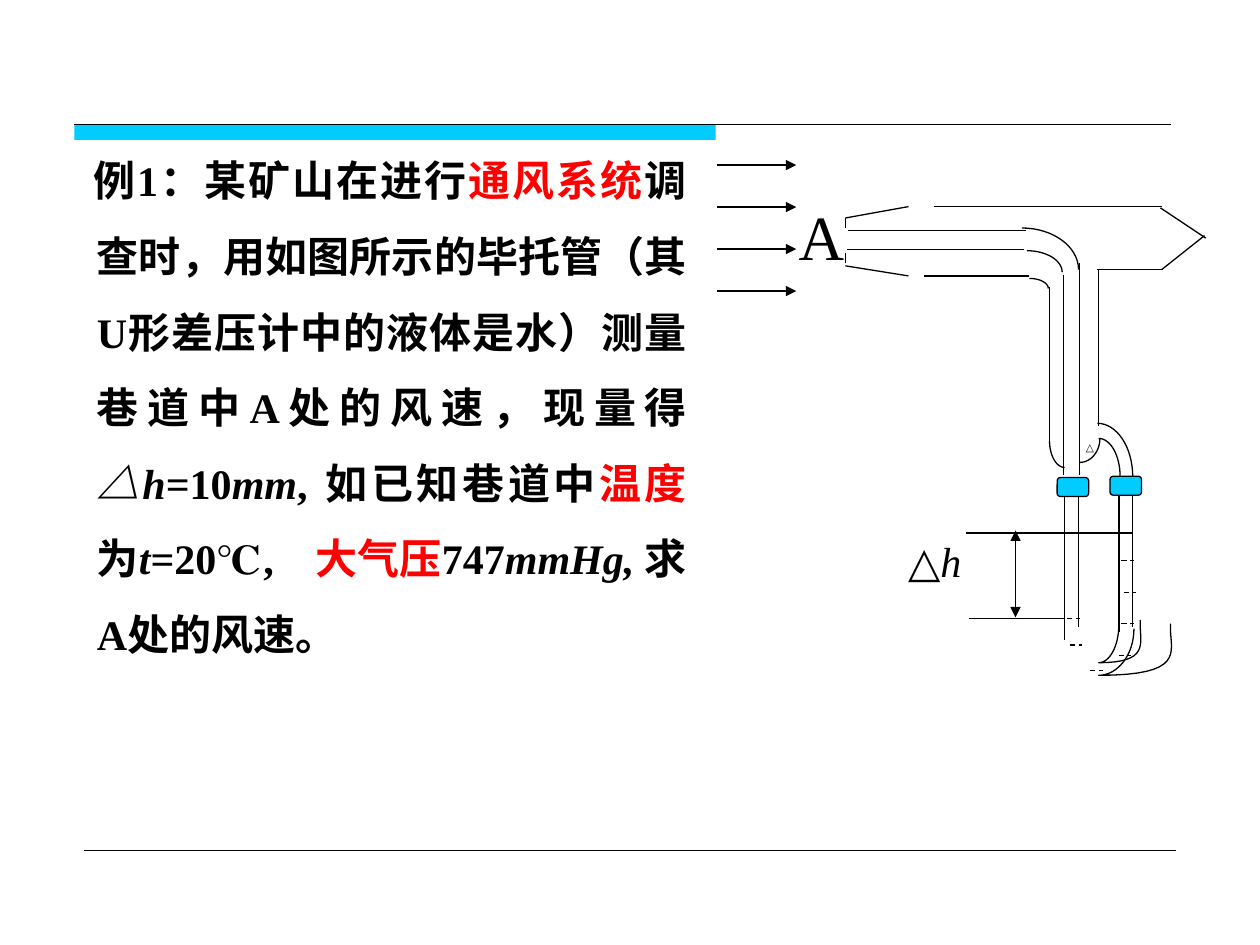
from dataclasses import dataclass

from pptx import Presentation
from pptx import util as u
from pptx.dml.color import RGBColor
from pptx.enum import dml, shapes, text
from pptx.oxml import xmlchemy as xc
from pptx.util import Inches


@dataclass(frozen=True)
class Theme:
    font: str = "Times New Roman"
    ink: RGBColor = RGBColor(0x00, 0x00, 0x00)
    accent: RGBColor = RGBColor(0x00, 0xCC, 0xFF)
    alert: RGBColor = RGBColor(0xFF, 0x00, 0x00)
    body: float = 24
    point: float = 36
    small: float = 6
    line: float = 0.75
    hairline: float = 0.25


T = Theme()

BODY = [
    ("例1：某矿山在进行", ""),
    ("通风系统", "red"),
    ("调查时，用如图所示的毕托管（其U形差压计中的液体是水）测量巷道中A处的风速，现量得", ""),
    ("△h", "italic"),
    ("=10", ""),
    ("mm", "italic"),
    (", 如已知巷道中", ""),
    ("温度", "red"),
    ("为", ""),
    ("t", "italic"),
    ("=20℃,　", ""),
    ("大气压", "red"),
    ("747", ""),
    ("mmHg, ", "italic"),
    ("求A处的风速。", ""),
]

TUBE_LINES = [
    (9.17, 1.64, 7.41, 1.64), (8.82, 1.64, 9.22, 1.64),
    (9.21, 1.65, 9.57, 1.89), (9.22, 2.14, 9.56, 1.87),
    (9.23, 2.14, 8.71, 2.14), (8.72, 2.14, 8.72, 3.38),
    (8.44, 3.77, 8.44, 2.18), (8.57, 3.77, 8.57, 2.09),
    (8.33, 3.5, 8.33, 2.28), (8.14, 1.83, 6.73, 1.83),
    (8.13, 1.98, 6.72, 1.98), (8.17, 2.19, 7.33, 2.19),
    (6.71, 1.81, 6.71, 1.73), (6.71, 1.73, 7.21, 1.64),
    (6.71, 2.09, 6.71, 2.01), (6.71, 2.11, 7.21, 2.19),
]

GAUGE_LINES = [
    (8.88, 3.88, 8.88, 5.02), (8.99, 3.86, 8.99, 4.98),
    (8.56, 3.93, 8.56, 4.98), (8.45, 3.93, 8.45, 5.08),
    (8.89, 4.23, 8.99, 4.23), (8.45, 4.91, 7.69, 4.91),
    (8.9, 4.23, 7.67, 4.23),
]

LIQUID_DASHES = [
    (8.9, 3.93), (8.9, 4.45), (8.92, 4.7), (8.9, 4.95),
    (8.88, 5.2), (8.65, 5.32), (8.49, 5.12), (8.47, 4.91),
]

BENDS = [
    (8.45, 3.71, 8.33, 3.5), (8.57, 3.67, 8.73, 3.48),
    (8.71, 3.36, 8.99, 3.78), (8.72, 3.48, 8.89, 3.78),
    (8.11, 1.81, 8.56, 2.14), (8.15, 1.99, 8.43, 2.16),
    (8.17, 2.21, 8.32, 2.29),
]


def add_line(s, x1, y1, x2, y2, width=T.line, dashed=False, arrows=()):
    c = s.shapes.add_connector(
        shapes.MSO_CONNECTOR.STRAIGHT, Inches(x1), Inches(y1), Inches(x2), Inches(y2))
    c.line.color.rgb = T.ink
    c.line.width = u.Pt(width)
    if dashed:
        c.line.dash_style = dml.MSO_LINE.DASH
    ln = c.line._get_or_add_ln()
    for end in arrows:
        ln.append(xc.OxmlElement(f"a:{end}"))
        ln[-1].set("type", "triangle")
    c._element.spPr.append(xc.OxmlElement("a:effectLst"))


def bezier(p0, p1, p2, p3, steps=16):
    def at(t):
        weights = ((1 - t) ** 3, 3 * t * (1 - t) ** 2, 3 * t * t * (1 - t), t ** 3)
        return tuple(sum(w * p[i] for w, p in zip(weights, (p0, p1, p2, p3)))
                     for i in (0, 1))
    return [at(n / steps) for n in range(steps + 1)]


def quarter(x1, y1, x2, y2):
    k = 0.55
    return bezier((x1, y1), (x1 + k * (x2 - x1), y1),
                  (x2, y2 - k * (y2 - y1)), (x2, y2))


def add_curve(s, points):
    emu = [(Inches(x), Inches(y)) for x, y in points]
    builder = s.shapes.build_freeform(*emu[0])
    builder.add_line_segments(emu[1:], close=False)
    sp = builder.convert_to_shape()
    sp.shadow.inherit = False
    sp.fill.background()
    sp.line.color.rgb = T.ink
    sp.line.width = u.Pt(T.line)


def add_block(s, kind, x, y, w, h, outlined=True):
    sp = s.shapes.add_shape(kind, Inches(x), Inches(y), Inches(w), Inches(h))
    sp.shadow.inherit = False
    sp.fill.solid()
    sp.fill.fore_color.rgb = T.accent
    if outlined:
        sp.line.color.rgb = T.ink
        sp.line.width = u.Pt(T.line)
    else:
        sp.line.fill.background()


def add_text(s, x, y, w, h, parts, size, bold=False):
    tf = s.shapes.add_textbox(Inches(x), Inches(y), Inches(w), Inches(h)).text_frame
    tf.word_wrap = True
    p = tf.paragraphs[0]
    for words, style in parts:
        r = p.add_run()
        r.text = words
        r.font.name = T.font
        r.font.size = u.Pt(size)
        r.font.bold = bold
        r.font.italic = style == "italic"
        r.font.color.rgb = T.alert if style == "red" else T.ink
    return p


def add_frame(s):
    add_block(s, shapes.MSO_SHAPE.RECTANGLE, 0.59, 0.99, 5.09, 0.12, outlined=False)
    add_line(s, 0.59, 0.99, 9.29, 0.99)
    add_line(s, 0.67, 6.75, 9.33, 6.75, T.hairline)


def add_problem(s):
    p = add_text(s, 0.16, 0.98, 5.39, 4.77, BODY, T.body, bold=True)
    p.alignment = text.PP_ALIGN.JUSTIFY
    p.line_spacing = 1.5
    pPr = p._p.get_or_add_pPr()
    pPr.set("marL", str(Inches(0.51)))
    pPr.set("indent", str(Inches(-0.03)))


def add_pitot_tube(s):
    for ends in TUBE_LINES + GAUGE_LINES:
        add_line(s, *ends)
    for x, y in LIQUID_DASHES:
        add_line(s, x, y, x + 0.1, y, dashed=True)
    for bend in BENDS:
        add_curve(s, quarter(*bend))
    for inner, outer, top, bottom, reach in (
            (9, 9.29, 4.99, 5.36, 9.41), (8.88, 9.05, 4.96, 5.26, 9.12)):
        left = quarter(8.72, bottom, inner, top)[::-1]
        right = bezier((8.72, bottom), (reach, bottom),
                       (outer, (top + bottom) / 2), (outer, top))
        add_curve(s, left + right[1:] + [(outer, top - 0.04)])
    for x, y in ((8.39, 3.79), (8.81, 3.78)):
        add_block(s, shapes.MSO_SHAPE.ROUNDED_RECTANGLE, x, y, 0.25, 0.15)


def add_labels(s):
    for n in range(4):
        y = 1.31 + n / 3
        add_line(s, 5.69, y, 6.32, y, arrows=["tailEnd"])
    add_line(s, 8.06, 4.9, 8.06, 4.21, arrows=["headEnd", "tailEnd"])
    add_text(s, 7.11, 4.2, 1.24, 0.92, [("△h", "italic")], T.body)
    add_text(s, 6.24, 1.52, 1.02, 0.7, [("A", "")], T.point)
    add_text(s, 8.52, 3.45, 0.35, 0.2, [("△", "")], T.small)


def main():
    prs = Presentation()
    prs.slide_width, prs.slide_height = Inches(10), Inches(7.5)
    s = prs.slides.add_slide(prs.slide_layouts[6])
    add_frame(s)
    add_problem(s)
    add_pitot_tube(s)
    add_labels(s)
    prs.save("out.pptx")


if __name__ == "__main__":
    main()
